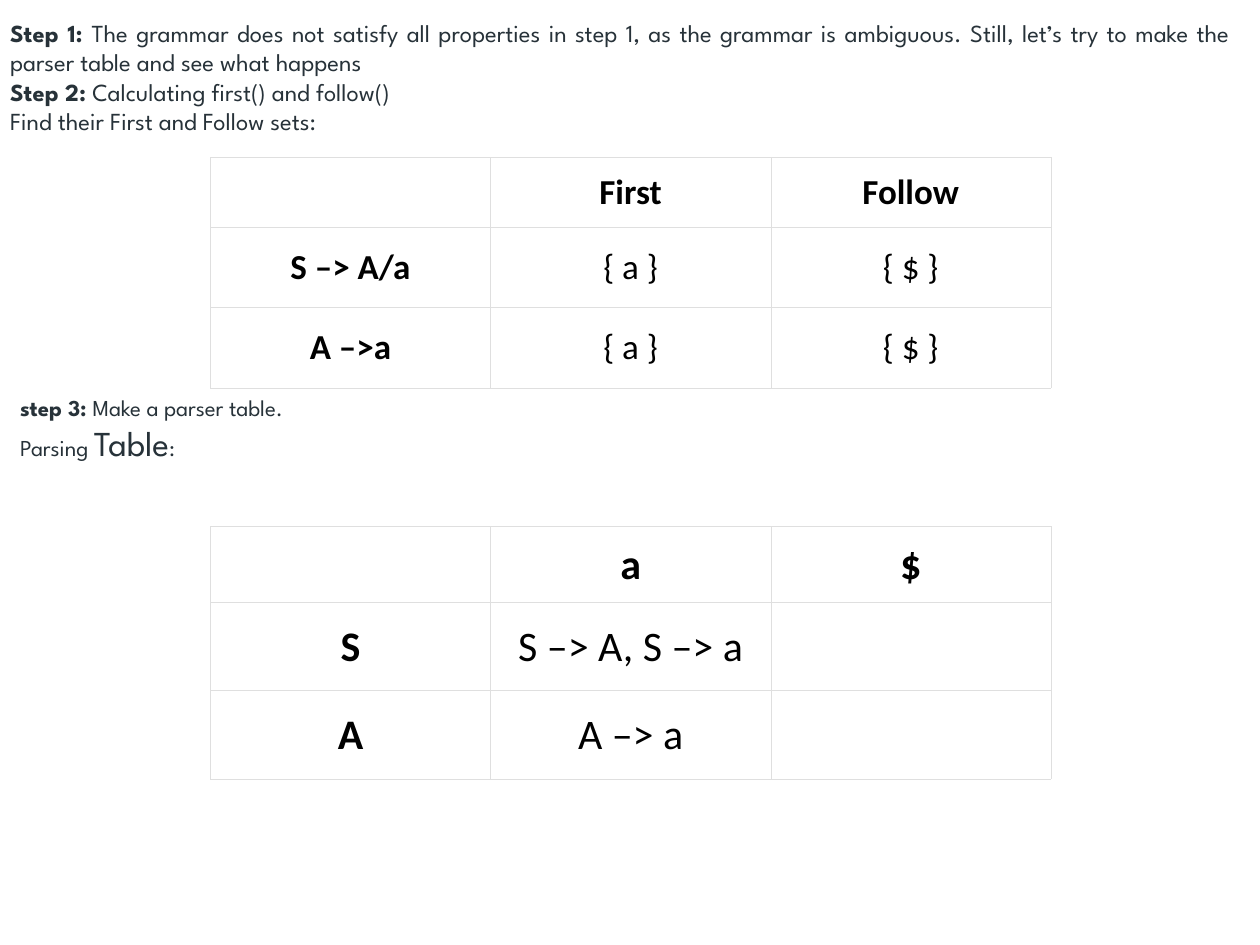
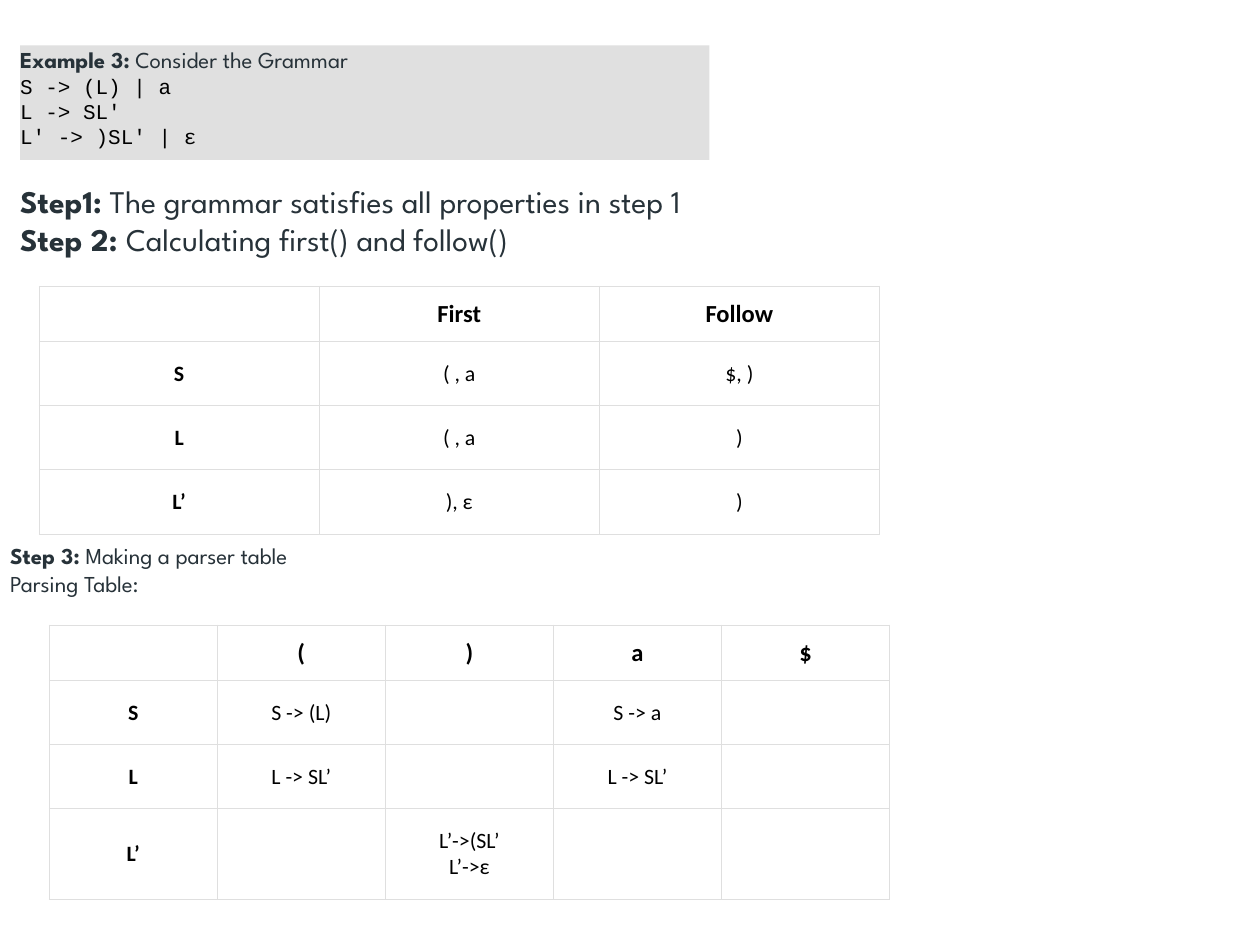
import lxml.etree
import pptx
import pptx.dml.color
import pptx.enum.shapes
import pptx.enum.text
import pptx.oxml.ns
import pptx.util

Inches = pptx.util.Inches
Pt = pptx.util.Pt
ALIGN = pptx.enum.text.PP_ALIGN
MIDDLE = pptx.enum.text.MSO_ANCHOR.MIDDLE

COLORS = {"paper": "FFFFFF", "ink": "273239", "black": "000000",
          "border": "DFDFDF", "code": "E0E0E0"}
PROSE_FONT, CODE_FONT, TABLE_FONT = "League Spartan", "Courier New", "Calibri"
TABLE_WIDTH = 6.67
BORDER_PT = 0.23


def rgb(name):
    return pptx.dml.color.RGBColor.from_string(COLORS[name])


def set_font(font, name, size, color):
    font.name, font.size = name, Pt(size)
    font.color.rgb = rgb(color)


def add_run(paragraph, text, bold=False):
    run = paragraph.add_run()
    run.text = text
    run.font.bold = bold
    return run


def add_passage(slide, box, lines, size, align=ALIGN.LEFT, fill="paper"):
    """Add a filled block of (bold label, plain body) lines; return its text frame."""
    block = slide.shapes.add_shape(pptx.enum.shapes.MSO_SHAPE.RECTANGLE,
                                   *map(Inches, box))
    block.shadow.inherit = False
    block.fill.solid()
    block.fill.fore_color.rgb = rgb(fill)
    block.line.fill.background()
    frame = block.text_frame
    frame.word_wrap = True
    frame.auto_size = pptx.enum.text.MSO_AUTO_SIZE.SHAPE_TO_FIT_TEXT
    frame.vertical_anchor = MIDDLE
    frame.margin_left = frame.margin_right = 0
    frame.margin_top = frame.margin_bottom = 0
    for index, (label, body) in enumerate(lines):
        paragraph = frame.add_paragraph() if index else frame.paragraphs[0]
        paragraph.alignment = align
        set_font(paragraph.font, PROSE_FONT, size, "ink")
        if label:
            add_run(paragraph, label, bold=True)
        add_run(paragraph, body)
    return frame


def add_cell_borders(cell):
    properties = cell._tc.get_or_add_tcPr()
    qn = pptx.oxml.ns.qn
    for side in ("a:lnL", "a:lnR", "a:lnT", "a:lnB"):
        line = lxml.etree.SubElement(properties, qn(side), w=str(Pt(BORDER_PT)))
        solid = lxml.etree.SubElement(line, qn("a:solidFill"))
        lxml.etree.SubElement(solid, qn("a:srgbClr"), val=COLORS["border"])


def format_cell(cell, text, size, bold, padding):
    add_cell_borders(cell)
    cell.fill.solid()
    cell.fill.fore_color.rgb = rgb("paper")
    if not text:
        return
    cell.vertical_anchor = MIDDLE
    cell.margin_left = cell.margin_right = Inches(0.1)
    cell.margin_top = cell.margin_bottom = Inches(padding)
    cell.text = text
    for paragraph in cell.text_frame.paragraphs:
        paragraph.alignment = ALIGN.CENTER
        set_font(paragraph.font, TABLE_FONT, size, "black")
        paragraph.font.bold = bold


def add_grammar_table(slide, left, top, rows, heights, head_size, body_size):
    """Add a table whose first row and first column are bold headings."""
    columns = len(rows[0])
    table = slide.shapes.add_table(
        len(rows), columns, Inches(left), Inches(top),
        Inches(TABLE_WIDTH), Inches(sum(heights))).table
    table.first_row = table.horz_banding = False
    for column in table.columns:
        column.width = Inches(TABLE_WIDTH / columns)
    for r, (texts, height) in enumerate(zip(rows, heights)):
        table.rows[r].height = Inches(height)
        for c, text in enumerate(texts):
            format_cell(table.cell(r, c), text,
                        size=body_size if r else head_size,
                        bold=r == 0 or c == 0,
                        padding=0.15 if r else 0.1)


def build_ambiguous_grammar(slide):
    add_grammar_table(slide, 1.67, 1.25, [
        ("", "First", "Follow"),
        ("S –> A/a", "{ a }", "{ $ }"),
        ("A –>a", "{ a }", "{ $ }"),
    ], (0.55, 0.62, 0.62), 20, 20)
    add_passage(slide, (0.08, 0.14, 9.69, 0.94), [
        ("Step 1: ", "The grammar does not satisfy all properties in step 1, "
                     "as the grammar is ambiguous. Still, let’s try to make "
                     "the parser table and see what happens"),
        ("Step 2:", " Calculating first() and follow()"),
        ("", "Find their First and Follow sets:"),
    ], 14, ALIGN.JUSTIFY)
    add_grammar_table(slide, 1.67, 4.18, [
        ("", "a", "$"),
        ("S", "S –> A, S –> a", ""),
        ("A", "A –> a", ""),
    ], (0.6, 0.69, 0.7), 24, 24)
    step_three = add_passage(slide, (0.16, 3.12, 9.06, 0.56), [
        ("step 3: ", "Make a parser table."),
        ("", "Parsing "),
    ], 13)
    caption = step_three.paragraphs[1]
    add_run(caption, "Table").font.size = Pt(20)
    add_run(caption, ":")


def build_example_three(slide):
    grammar = add_passage(slide, (0.16, 0.36, 5.47, 0.91),
                          [("Example 3:", " Consider the Grammar")],
                          13, fill="code")
    grammar.margin_bottom = Inches(0.08)
    for rule in ("S -> (L) | a", "L -> SL'", "L' -> )SL' | ε"):
        paragraph = grammar.add_paragraph()
        paragraph.text = rule
        paragraph.alignment = ALIGN.LEFT
        set_font(paragraph.font, CODE_FONT, 12, "black")
    add_grammar_table(slide, 0.31, 2.27, [
        ("", "First", "Follow"),
        ("S", "( , a", "$, )"),
        ("L", "( , a", ")"),
        ("L’", "), ε", ")"),
    ], (0.44, 0.5, 0.5, 0.5), 14, 12.5)
    add_passage(slide, (0.16, 1.44, 8.44, 0.61), [
        ("Step1:", " The grammar satisfies all properties in step 1"),
        ("Step 2: ", "Calculating first() and follow()"),
    ], 18, ALIGN.JUSTIFY)
    add_grammar_table(slide, 0.39, 4.96, [
        ("", "(", ")", "a", "$"),
        ("S", "S -> (L)", "", "S -> a", ""),
        ("L", "L -> SL’", "", "L -> SL’", ""),
        ("L’", "", "L’->(SL’\nL’->ε", "", ""),
    ], (0.44, 0.5, 0.5, 0.71), 14, 12.5)
    add_passage(slide, (0.08, 4.27, 9.69, 0.5), [
        ("Step 3: ", "Making a parser table"),
        ("", "Parsing Table:"),
    ], 13, ALIGN.JUSTIFY)


def main():
    deck = pptx.Presentation()
    deck.slide_width, deck.slide_height = Inches(10), Inches(7.5)
    blank = deck.slide_layouts[6]
    for build in (build_ambiguous_grammar, build_example_three):
        build(deck.slides.add_slide(blank))
    deck.save("out.pptx")


if __name__ == "__main__":
    main()
